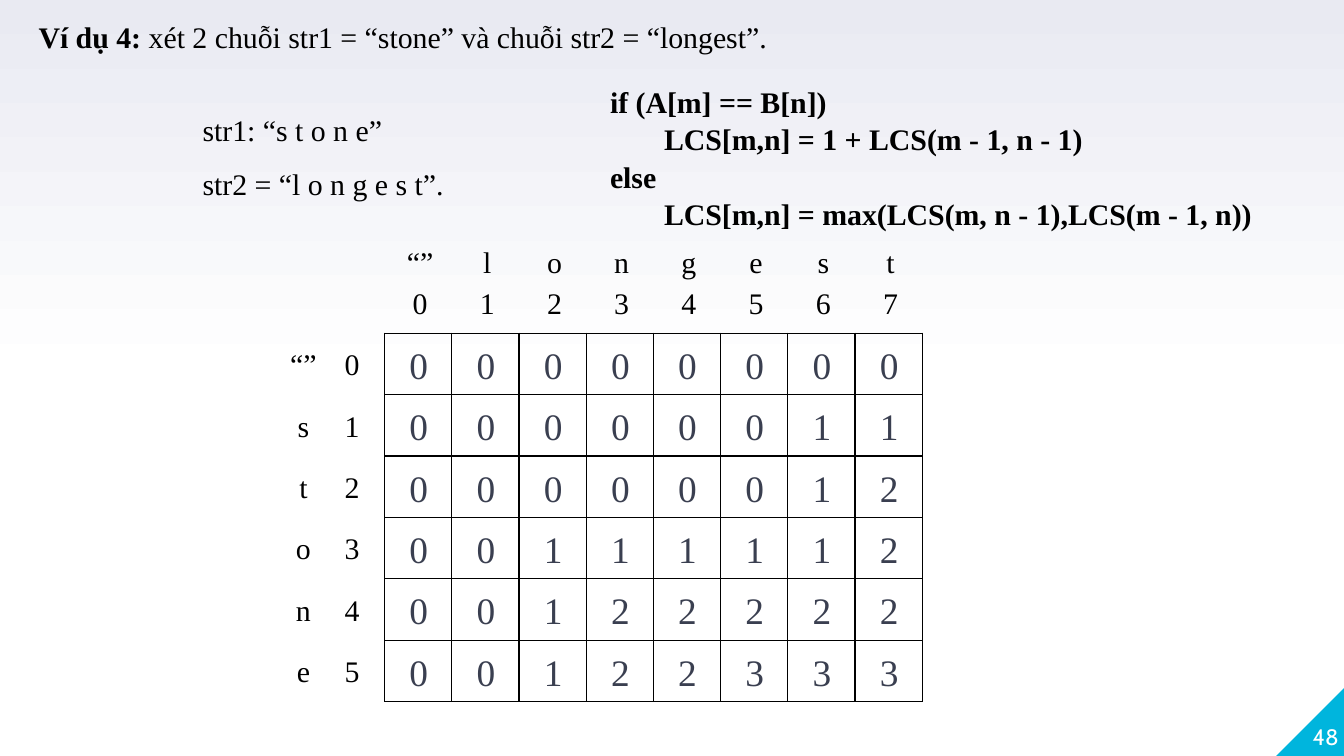
from lxml.etree import SubElement
from pptx import Presentation
from pptx.dml.color import RGBColor
from pptx.enum.shapes import MSO_SHAPE
from pptx.enum.text import MSO_ANCHOR, PP_ALIGN
from pptx.oxml.ns import qn
from pptx.util import Cm, Pt

BLACK = RGBColor(0x00, 0x00, 0x00)
WHITE = RGBColor(0xFF, 0xFF, 0xFF)
LILAC = RGBColor(0xE9, 0xEA, 0xF2)
CYAN = RGBColor(0x00, 0xB5, 0xDD)
SLATE = RGBColor(0x3A, 0x3F, 0x50)

BODY = {"name": "Times New Roman", "size": Pt(16), "bold": False}
STRONG = BODY | {"bold": True}
VALUE = BODY | {"size": Pt(20)}
PAGE = {"name": "Cabin", "size": Pt(12)}
INDENT = 0.15
CODE_INDENT = 1.17

presentation = Presentation()
presentation.slide_width, presentation.slide_height = Cm(25.4), Cm(14.29)
slide = presentation.slides.add_slide(presentation.slide_layouts[6])


def add_run(paragraph, text, style, color):
    run = paragraph.add_run()
    run.text = text
    for attribute, value in style.items():
        setattr(run.font, attribute, value)
    run.font.color.rgb = color


def add_text(left, top, width, height, lines, align=PP_ALIGN.JUSTIFY, color=BLACK):
    """Add a text box; each line is an indent in cm and a list of (text, style) runs."""
    frame = slide.shapes.add_textbox(Cm(left), Cm(top), Cm(width), Cm(height)).text_frame
    frame.word_wrap = True
    for number, (indent, runs) in enumerate(lines):
        paragraph = frame.add_paragraph() if number else frame.paragraphs[0]
        paragraph.alignment = align
        paragraph.line_spacing = 1.05
        paragraph._p.get_or_add_pPr().set("marL", str(Cm(indent)))
        for text, style in runs:
            add_run(paragraph, text, style, color)
    return frame


# Background, corner and page number
background = slide.background.fill
background.gradient()
background.gradient_angle = 90
for stop, position, color in zip(background.gradient_stops, (0.5, 1), (WHITE, LILAC)):
    stop.position = position
    stop.color.rgb = color

corner = slide.shapes.add_shape(
    MSO_SHAPE.RIGHT_TRIANGLE, Cm(24.12), Cm(12.99), Cm(1.3), Cm(1.3))
corner.shadow.inherit = False
corner.fill.solid()
corner.fill.fore_color.rgb = CYAN
corner.line.fill.background()
corner._element.spPr.find(qn("a:xfrm")).set("flipH", "1")

page_number = add_text(24.03, 12.88, 1.27, 1.3, [(0, [("48", PAGE)])], PP_ALIGN.RIGHT, WHITE)
page_number.vertical_anchor = MSO_ANCHOR.BOTTOM
for side in ("left", "top", "right", "bottom"):
    setattr(page_number, f"margin_{side}", 0)

# Problem statement, the two strings and the recurrence
add_text(0.33, 0.2, 15.4, 1.02, [(INDENT, [
    ("Ví dụ 4: ", STRONG),
    ("xét 2 chuỗi str1 = “stone” và chuỗi str2 = “longest”.", BODY),
])])
add_text(3.43, 1.96, 4.78, 1.02, [(INDENT, [("str1: “s t o n e”", BODY)])])
add_text(3.43, 2.97, 5.72, 1.02, [(INDENT, [("str2 = “l o n g e s t”.", BODY)])])
add_text(11.13, 1.42, 12.9, 3.07, [
    (INDENT, [("if (A[m] == B[n])", STRONG)]),
    (CODE_INDENT, [("LCS[m,n] = 1 + LCS(m - 1, n - 1)", STRONG)]),
    (INDENT, [("else", STRONG)]),
    (CODE_INDENT, [("LCS[m,n] = max(LCS(m, n - 1),LCS(m - 1, n))", STRONG)]),
])

# LCS grid
COLUMN_LETTERS = ["“”", *"longest"]
ROW_LETTERS = ["“”", *"stone"]
LCS_ROWS = ["00000000", "00000011", "00000012", "00111112", "00122222", "00122333"]
GRID_LEFT, GRID_TOP = 7.27, 6.3
CELL_WIDTH, CELL_HEIGHT = 1.27, 1.16

grid = slide.shapes.add_table(
    len(ROW_LETTERS), len(COLUMN_LETTERS), Cm(GRID_LEFT), Cm(GRID_TOP),
    Cm(CELL_WIDTH * len(COLUMN_LETTERS)), Cm(CELL_HEIGHT * len(ROW_LETTERS))).table
grid.first_row = grid.horz_banding = False
for column in grid.columns:
    column.width = Cm(CELL_WIDTH)
for row in grid.rows:
    row.height = Cm(CELL_HEIGHT)
for cell in grid.iter_cells():
    properties = cell._tc.get_or_add_tcPr()
    for edge in ("a:lnL", "a:lnR", "a:lnT", "a:lnB"):
        border = SubElement(properties, qn(edge), w=str(Pt(0.75)))
        SubElement(SubElement(border, qn("a:solidFill")), qn("a:srgbClr"), val=str(BLACK))
    cell.fill.background()

# Letters and indices along the top and the left
for index, letter in enumerate(COLUMN_LETTERS):
    for top, label in ((4.44, letter), (5.22, str(index))):
        add_text(7.14 + index * CELL_WIDTH, top, 1.45, 1.07,
                 [(INDENT, [(label, BODY)])], PP_ALIGN.CENTER)
for index, letter in enumerate(ROW_LETTERS):
    for left, label in ((5.05, letter), (5.97, str(index))):
        add_text(left, 6.38 + index * CELL_HEIGHT, 1.22, 1.02,
                 [(INDENT, [(label, BODY)])], PP_ALIGN.CENTER)

# Subsequence lengths over the grid
for row_index, lengths in enumerate(LCS_ROWS):
    for column_index, length in enumerate(lengths):
        add_text(GRID_LEFT + column_index * CELL_WIDTH, GRID_TOP + row_index * CELL_HEIGHT,
                 1.14, 1.12, [(INDENT, [(length, VALUE)])], PP_ALIGN.CENTER, SLATE)

presentation.save("out.pptx")
